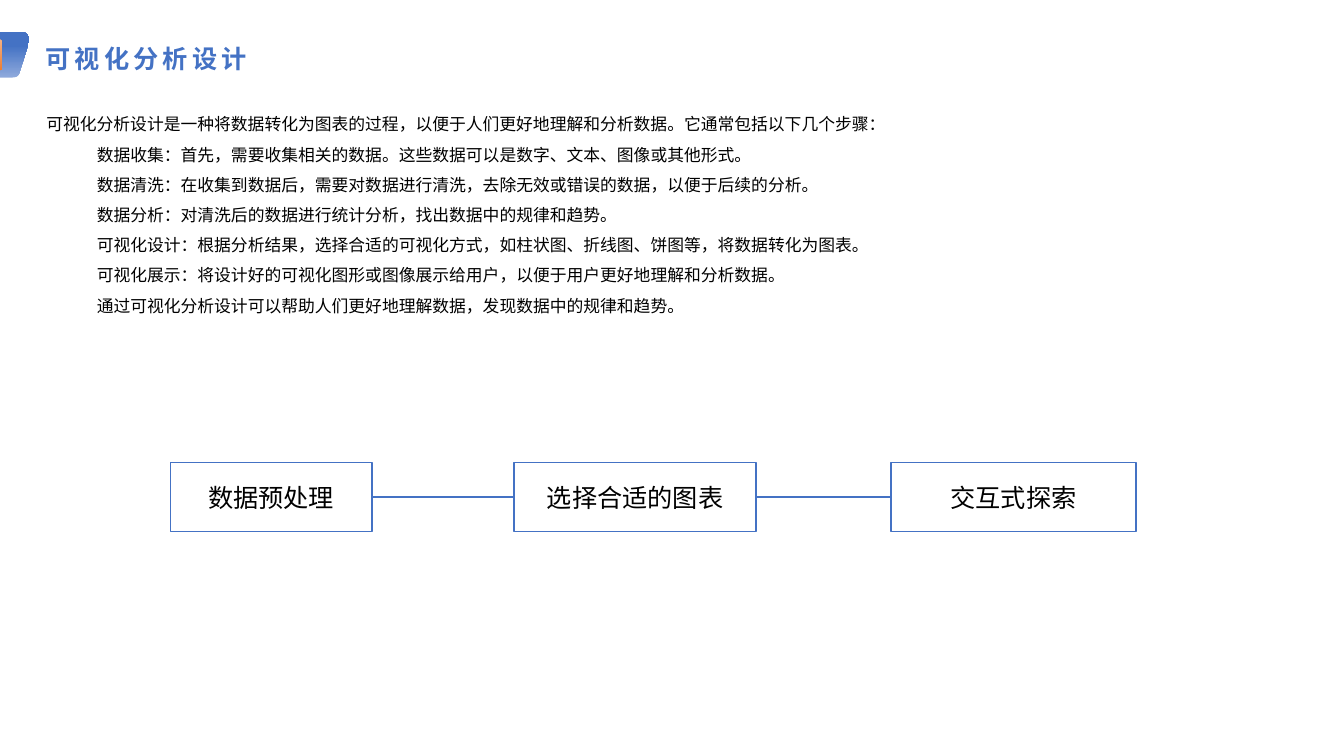
"""Build the visual analysis design slide with its three-stage flow."""
from lxml import etree
from pptx import Presentation
from pptx.dml.color import RGBColor
from pptx.enum import shapes, text
from pptx.oxml import ns
from pptx.util import Pt

COLORS = {"blue": "4472C4", "pale_blue": "8FAADC", "orange": "ED7D31",
          "pale_orange": "F4B183", "black": "000000"}
CJK = "Noto Sans CJK SC"
HEADING = "可视化分析设计"
INTRO = "可视化分析设计是一种将数据转化为图表的过程，以便于人们更好地理解和分析数据。它通常包括以下几个步骤："
STEPS = [
    "数据收集：首先，需要收集相关的数据。这些数据可以是数字、文本、图像或其他形式。",
    "数据清洗：在收集到数据后，需要对数据进行清洗，去除无效或错误的数据，以便于后续的分析。",
    "数据分析：对清洗后的数据进行统计分析，找出数据中的规律和趋势。",
    "可视化设计：根据分析结果，选择合适的可视化方式，如柱状图、折线图、饼图等，将数据转化为图表。",
    "可视化展示：将设计好的可视化图形或图像展示给用户，以便于用户更好地理解和分析数据。",
    "通过可视化分析设计可以帮助人们更好地理解数据，发现数据中的规律和趋势。",
]
STAGES = [("数据预处理", 121.7, 144), ("选择合适的图表", 367.2, 172.8),
          ("交互式探索", 636.5, 175)]
STAGE_TOP, STAGE_HEIGHT = 330.5, 49
INDENT = 36
TAB_CORNERS = [
    [(15.84, 23), (19.44, 23), (21.6, 26.64), (20.88, 29.52)],
    [(13.68, 52.56), (12.96, 54.72), (10.8, 55.4), (8.64, 55.4)],
]
TAB_LEFT, TAB_TOP, TAB_BOTTOM = -0.72, 23, 55.4


def color(name):
    return RGBColor.from_string(COLORS[name])


def place(part, left, top, width, height):
    part.left, part.top, part.width, part.height = map(Pt, (left, top, width, height))


def style(run, size, color_name, latin=CJK, bold=False):
    run.font.size, run.font.bold = Pt(size), bold
    run.font.color.rgb = color(color_name)
    run.font.name = latin
    east_asian = etree.SubElement(run.font._element, ns.qn("a:ea"))
    east_asian.set("typeface", CJK)


def corner_points(corner, pieces=8):
    for step in range(pieces + 1):
        t = step / pieces
        weights = ((1 - t) ** 3, 3 * t * (1 - t) ** 2, 3 * t * t * (1 - t), t ** 3)
        yield tuple(Pt(sum(w * point[axis] for w, point in zip(weights, corner)))
                    for axis in (0, 1))


def shade(part, angle, stops):
    part.shadow.inherit = False
    part.line.fill.background()
    part.fill.gradient()
    part.fill.gradient_angle = angle
    for stop, (position, name) in zip(part.fill.gradient_stops, stops):
        stop.position = position
        stop.color.rgb = color(name)


def add_marker(slide):
    outline = slide.shapes.build_freeform(Pt(TAB_LEFT), Pt(TAB_TOP))
    edge = [point for corner in TAB_CORNERS for point in corner_points(corner)]
    outline.add_line_segments(edge + [(Pt(TAB_LEFT), Pt(TAB_BOTTOM))], close=True)
    shade(outline.convert_to_shape(), 90, [(0, "pale_blue"), (0.7, "blue")])
    pill = slide.shapes.add_shape(shapes.MSO_SHAPE.ROUNDED_RECTANGLE,
                                  Pt(-2.16), Pt(28), Pt(3.6), Pt(22.3))
    pill.adjustments[0] = 0.5
    shade(pill, 270, [(0, "pale_orange"), (1, "orange")])


def add_heading(slide):
    heading = slide.shapes.title
    place(heading, 25.2, 25.2, 653, 33.1)
    frame = heading.text_frame
    frame.text = HEADING
    frame.auto_size = text.MSO_AUTO_SIZE.NONE
    frame.vertical_anchor = text.MSO_ANCHOR.MIDDLE
    frame.paragraphs[0].alignment = text.PP_ALIGN.LEFT
    run = frame.paragraphs[0].runs[0]
    style(run, 18, "blue", "Arial", True)
    run.font._element.set("spc", "300")


def add_explanation(slide):
    explanation = slide.placeholders[1]
    place(explanation, -10.1, 70.6, 782.6, 199.4)
    frame = explanation.text_frame
    frame.text = "\n".join([INTRO] + STEPS)
    frame.auto_size = text.MSO_AUTO_SIZE.NONE
    frame.vertical_anchor = text.MSO_ANCHOR.TOP
    for number, paragraph in enumerate(frame.paragraphs):
        paragraph.level = min(number, 1)
        paragraph.alignment = text.PP_ALIGN.JUSTIFY
        paragraph.line_spacing = 1.5
        paragraph.space_before = paragraph.space_after = Pt(0)
        properties = paragraph._p.get_or_add_pPr()
        properties.set("marL", str(Pt(INDENT * paragraph.level)))
        properties.set("indent", str(Pt(INDENT)))
        etree.SubElement(properties, ns.qn("a:buNone"))
        style(paragraph.runs[0], 12, "black")


def add_flow(slide):
    for label, left, width in STAGES:
        stage = slide.shapes.add_shape(shapes.MSO_SHAPE.RECTANGLE, Pt(left),
                                       Pt(STAGE_TOP), Pt(width), Pt(STAGE_HEIGHT))
        stage.shadow.inherit = False
        stage.fill.background()
        stage.line.color.rgb, stage.line.width = color("blue"), Pt(1)
        stage.text_frame.text = label
        stage.text_frame.vertical_anchor = text.MSO_ANCHOR.MIDDLE
        stage.text_frame.paragraphs[0].alignment = text.PP_ALIGN.CENTER
        style(stage.text_frame.paragraphs[0].runs[0], 18, "black")
    middle = Pt(STAGE_TOP + STAGE_HEIGHT / 2)
    for (_, left, width), (_, next_left, _) in zip(STAGES, STAGES[1:]):
        link = slide.shapes.add_connector(shapes.MSO_CONNECTOR.STRAIGHT,
                                          Pt(left + width), middle, Pt(next_left), middle)
        link.line.color.rgb, link.line.width = color("blue"), Pt(1)
        etree.SubElement(link._element.spPr, ns.qn("a:effectLst"))


def main():
    deck = Presentation()
    deck.slide_width, deck.slide_height = Pt(960), Pt(540)
    slide = deck.slides.add_slide(deck.slide_layouts[1])
    add_marker(slide)
    add_heading(slide)
    add_explanation(slide)
    add_flow(slide)
    deck.save("out.pptx")


if __name__ == "__main__":
    main()
